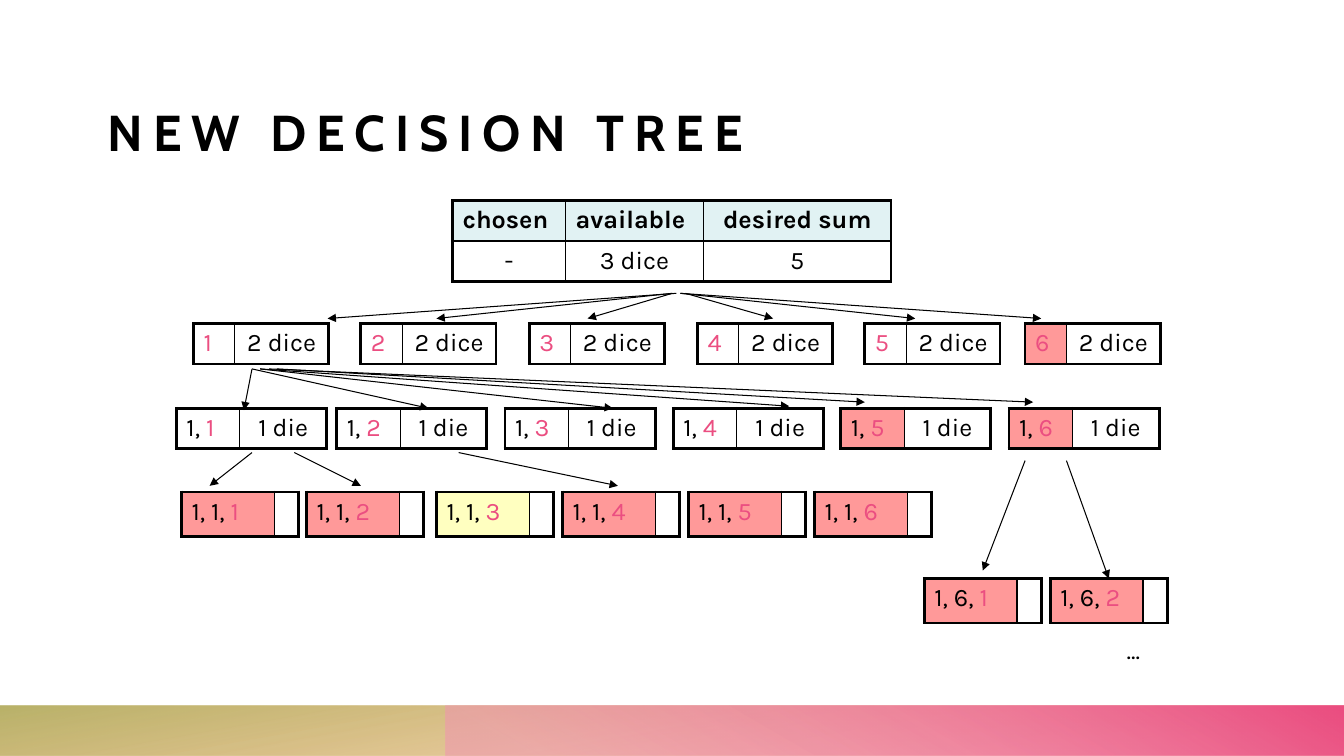
"""Build the decision tree slide for choosing three dice that sum to five."""
from dataclasses import dataclass
from typing import NamedTuple

from lxml import etree
from pptx import Presentation
from pptx.dml.color import RGBColor
from pptx.enum.shapes import MSO_CONNECTOR, MSO_SHAPE
from pptx.enum.text import MSO_ANCHOR, PP_ALIGN
from pptx.oxml.ns import qn
from pptx.util import Pt

PX = 9144
STRAIGHT = MSO_CONNECTOR.STRAIGHT
RECT = MSO_SHAPE.RECTANGLE
BOTTOM = MSO_ANCHOR.BOTTOM
LEFT, CENTER = PP_ALIGN.LEFT, PP_ALIGN.CENTER


@dataclass(frozen=True)
class Theme:
    ink: str = "000000"
    paper: str = "FFFFFF"
    pick: str = "EB4E81"
    header: str = "E1F2F3"
    dead: str = "FF9999"
    found: str = "FFFFC0"
    orange: str = "E88F33"
    olive: str = "ACA54F"
    rose: str = "F395B3"
    head_font: str = "Cabin"
    body_font: str = "Karla"
    title_size: float = 36
    body_size: float = 18
    thick: float = 2.25
    thin: float = 1
    arrow: float = 0.75


T = Theme()


class Stop(NamedTuple):
    position: float
    color: str
    alpha: int


class Band(NamedTuple):
    left: int
    width: int
    angle: int
    stops: tuple[Stop, Stop]


class Run(NamedTuple):
    text: str
    color: str = T.ink
    bold: bool = False


class Cell(NamedTuple):
    runs: tuple[Run, ...] = ()
    fill: str = T.paper
    align: PP_ALIGN = CENTER


class Node(NamedTuple):
    digit: int
    left: int
    fill: str = T.paper


@dataclass(frozen=True)
class Level:
    top: int
    height: int
    widths: tuple[int, int]
    prefix: str
    available: str
    nodes: tuple[Node, ...]


class Fan(NamedTuple):
    """Arrows that leave one height, each as start x, end x, end y."""
    top: int
    arrows: tuple[tuple[int, int, int], ...]


BANDS = (
    Band(0, 1333, 100, (Stop(0.14, T.orange, 28), Stop(1, T.olive, 85))),
    Band(442, 892, 60, (Stop(0.09, T.rose, 55), Stop(0.99, T.pick, 100))),
)
LEVELS = (
    Level(321, 40, (41, 93), "", "2 dice",
          (Node(1, 192), Node(2, 358), Node(3, 525), Node(4, 692), Node(5, 858),
           Node(6, 1017, T.dead))),
    Level(405, 40, (63, 86), "1, ", "1 die",
          (Node(1, 175), Node(2, 334), Node(3, 501), Node(4, 668),
           Node(5, 834, T.dead), Node(6, 1001, T.dead))),
    Level(488, 44, (92, 23), "1, 1, ", "",
          (Node(1, 180, T.dead), Node(2, 304, T.dead), Node(3, 433, T.found),
           Node(4, 558, T.dead), Node(5, 683, T.dead), Node(6, 808, T.dead))),
    Level(574, 44, (92, 23), "1, 6, ", "",
          (Node(1, 917, T.dead), Node(2, 1042, T.dead))),
)
FANS = (
    Fan(291, ((671, 325, 316), (667, 433, 316), (667, 583, 316),
              (680, 767, 316), (675, 908, 316), (675, 1033, 316))),
    Fan(366, ((250, 242, 407), (250, 425, 405), (258, 608, 405),
              (258, 783, 403), (275, 858, 399), (267, 1025, 399))),
    Fan(449, ((250, 208, 482), (292, 358, 482), (455, 613, 482))),
    Fan(457, ((1017, 975, 566), (1058, 1100, 574))),
)


def add_run(p, run: Run, font: str = T.body_font, size: float = T.body_size):
    """Append a formatted run and return it."""
    r = p.add_run()
    r.text = run.text
    for name, value in {"name": font, "size": Pt(size), "bold": run.bold}.items():
        setattr(r.font, name, value)
    r.font.color.rgb = RGBColor.from_string(run.color)
    return r


def add_band(s, band: Band) -> None:
    """Draw one translucent gradient band at the foot."""
    sp = s.shapes.add_shape(RECT, band.left * PX, 700 * PX, band.width * PX, 50 * PX)
    sp.shadow.inherit = False
    sp.line.fill.background()
    sp.fill.gradient()
    sp.fill.gradient_angle = band.angle
    for gs, stop in zip(sp.fill.gradient_stops, band.stops):
        gs.position = stop.position
        gs.color.rgb = RGBColor.from_string(stop.color)
    for clr, stop in zip(sp._element.spPr.iter(qn("a:srgbClr")), band.stops):
        etree.SubElement(clr, qn("a:alpha"), val=str(stop.alpha * 1000))


def add_border(tc_pr, side: str, width: float) -> None:
    """Give one side of a cell a solid line."""
    ln = etree.SubElement(tc_pr, qn(f"a:ln{side}"), w=str(Pt(width)))
    fill = etree.SubElement(ln, qn("a:solidFill"))
    etree.SubElement(fill, qn("a:srgbClr"), val=T.ink)


def add_grid(s, left: int, top: int, widths: tuple[int, ...], height: int,
             rows: tuple[tuple[Cell, ...], ...]) -> None:
    """Draw a table with a thick outline and thin inner lines."""
    n_rows, n_cols = len(rows), len(widths)
    table = s.shapes.add_table(n_rows, n_cols, left * PX, top * PX,
                               sum(widths) * PX, n_rows * height * PX).table
    table.first_row = table.horz_banding = False
    for column, width in zip(table.columns, widths):
        column.width = width * PX
    for i, row in enumerate(rows):
        table.rows[i].height = height * PX
        for j, item in enumerate(row):
            cell = table.cell(i, j)
            outer = {"L": j == 0, "R": j == n_cols - 1,
                     "T": i == 0, "B": i == n_rows - 1}
            for side, is_outer in outer.items():
                add_border(cell._tc.get_or_add_tcPr(), side,
                           T.thick if is_outer else T.thin)
            cell.fill.solid()
            cell.fill.fore_color.rgb = RGBColor.from_string(item.fill)
            p = cell.text_frame.paragraphs[0]
            p.alignment = item.align
            for run in item.runs:
                add_run(p, run)


def add_level(s, level: Level) -> None:
    """Draw every node of one tree level."""
    available = Cell((Run(level.available),) if level.available else ())
    prefix = (Run(level.prefix),) if level.prefix else ()
    for node in level.nodes:
        chosen = Cell((*prefix, Run(str(node.digit), T.pick)), node.fill, LEFT)
        add_grid(s, node.left, level.top, level.widths, level.height,
                 ((chosen, available),))


def add_arrow(s, x1: int, y1: int, x2: int, y2: int) -> None:
    """Draw a thin line with a triangle at its end."""
    c = s.shapes.add_connector(STRAIGHT, x1 * PX, y1 * PX, x2 * PX, y2 * PX)
    c.line.width = Pt(T.arrow)
    c.line.color.rgb = RGBColor.from_string(T.ink)
    etree.SubElement(c.line._get_or_add_ln(), qn("a:tailEnd"), type="triangle")
    etree.SubElement(c._element.spPr, qn("a:effectLst"))


def main() -> None:
    """Assemble and save the slide."""
    prs = Presentation()
    prs.slide_width, prs.slide_height = 12192000, 750 * PX
    s = prs.slides.add_slide(prs.slide_layouts[6])
    for band in BANDS:
        add_band(s, band)

    tf = s.shapes.add_textbox(107 * PX, 86 * PX, 1120 * PX, 74 * PX).text_frame
    for name, value in {"word_wrap": True, "vertical_anchor": BOTTOM, "margin_left": 0,
                        "margin_top": 0, "margin_right": 0, "margin_bottom": 0}.items():
        setattr(tf, name, value)
    r = add_run(tf.paragraphs[0], Run("NEW DECISION TREE", bold=True),
                T.head_font, T.title_size)
    r.font._element.set("spc", "700")

    header = tuple(Cell((Run(text, bold=True),), T.header, align) for text, align in
                   (("chosen", LEFT), ("available", LEFT), ("desired sum", CENTER)))
    start = tuple(Cell((Run(text),)) for text in ("-", "3 dice", "5"))
    add_grid(s, 449, 199, (112, 137, 186), 40, (header, start))
    for level in LEVELS:
        add_level(s, level)
    for fan in FANS:
        for x1, x2, y2 in fan.arrows:
            add_arrow(s, x1, fan.top, x2, y2)

    tf = s.shapes.add_textbox(1108 * PX, 624 * PX, 43 * PX, 40 * PX).text_frame
    tf.word_wrap = False
    add_run(tf.paragraphs[0], Run("..."))
    prs.save("out.pptx")


if __name__ == "__main__":
    main()
